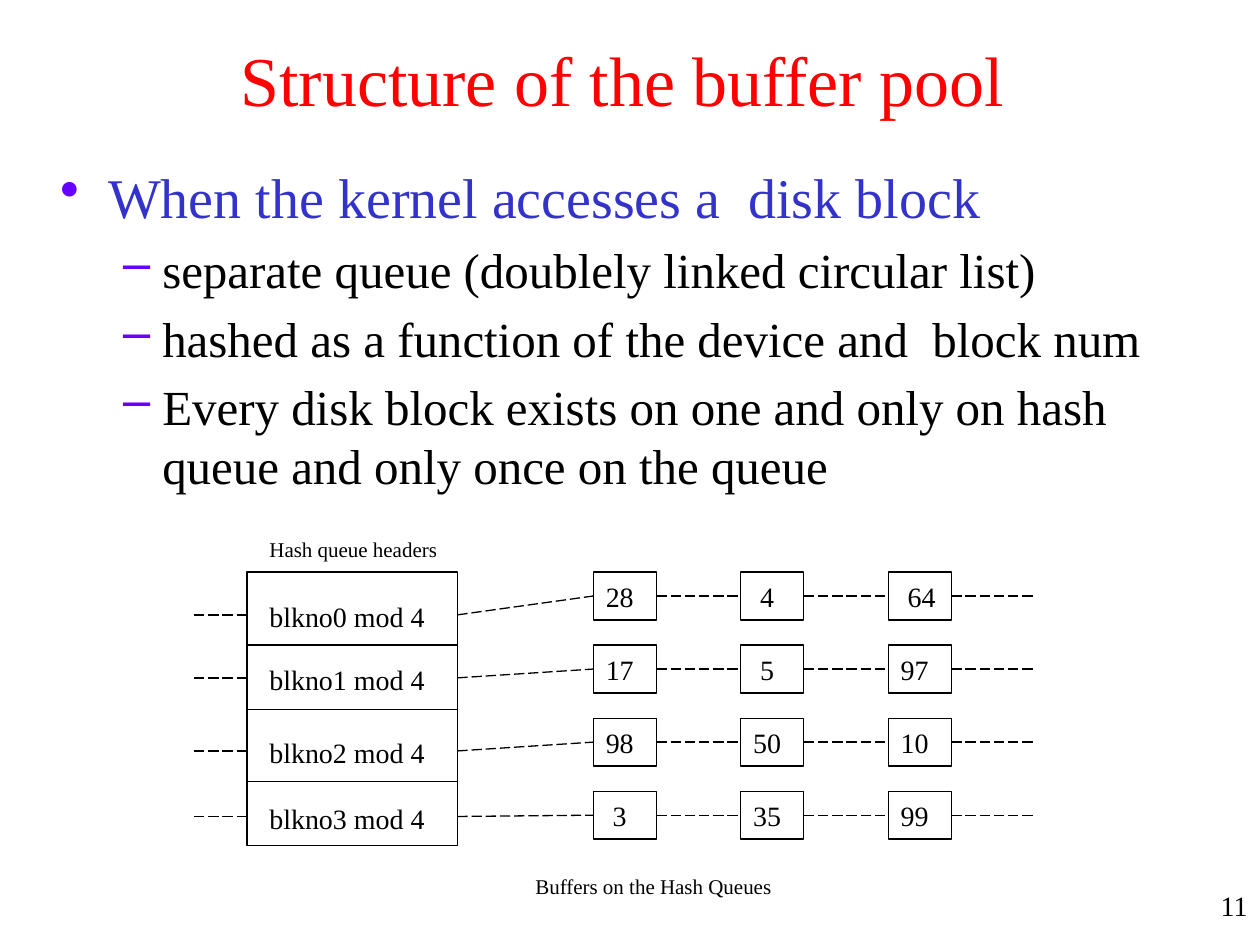
from lxml import etree
from pptx import Presentation
from pptx.dml.color import RGBColor
from pptx.enum.dml import MSO_LINE
from pptx.enum.shapes import MSO_CONNECTOR, MSO_SHAPE
from pptx.enum.text import MSO_ANCHOR, PP_ALIGN
from pptx.oxml.ns import qn
from pptx.util import Inches, Pt

STRAIGHT = MSO_CONNECTOR.STRAIGHT
RECTANGLE = MSO_SHAPE.RECTANGLE
LONG_DASH = MSO_LINE.LONG_DASH
MIDDLE, TOP = MSO_ANCHOR.MIDDLE, MSO_ANCHOR.TOP
LEFT, CENTER, RIGHT = PP_ALIGN.LEFT, PP_ALIGN.CENTER, PP_ALIGN.RIGHT
LEFT_SIDE, RIGHT_SIDE = 1, 3

FONT = "Times New Roman"
BLACK = RGBColor(0x00, 0x00, 0x00)
RED = RGBColor(0xFF, 0x00, 0x00)
BLUE = RGBColor(0x33, 0x33, 0xCC)
VIOLET = RGBColor(0x66, 0x00, 0xFF)
LINE_WIDTH = Pt(0.75)

BULLETS = [
    (0, "When the kernel accesses a  disk block"),
    (1, "separate queue (doublely linked circular list)"),
    (1, "hashed as a function of the device and  block num"),
    (1, "Every disk block exists on one and only on hash queue and only once on the queue"),
]
# Per level: marker, size, colour, text indent, hanging indent
LEVELS = [
    ("•", 32, BLUE, Inches(0.38), Inches(-0.38)),
    ("–", 28, BLACK, Inches(0.81), Inches(-0.31)),
]
QUEUES = [
    ("blkno0 mod 4", ["28", " 4", " 64"]),
    ("blkno1 mod 4", ["17", " 5", "97"]),
    ("blkno2 mod 4", ["98", "50", "10"]),
    ("blkno3 mod 4", [" 3", "35", "99"]),
]


def write(paragraph, text, size=16, color=BLACK, align=LEFT):
    paragraph.text = text
    paragraph.alignment = align
    paragraph.font.name = FONT
    paragraph.font.size = Pt(size)
    paragraph.font.color.rgb = color


def add_text(slide, text, left, top, width, height, anchor=TOP, wrap=True, **text_format):
    frame = slide.shapes.add_textbox(left, top, width, height).text_frame
    frame.word_wrap = wrap
    frame.vertical_anchor = anchor
    write(frame.paragraphs[0], text, **text_format)


def add_box(slide, left, top, width, height):
    box = slide.shapes.add_shape(RECTANGLE, left, top, width, height)
    box.shadow.inherit = False
    box.fill.background()
    box.line.color.rgb = BLACK
    box.line.width = LINE_WIDTH
    return box


def add_line(slide, start_x, start_y, end_x, end_y, dash=LONG_DASH):
    line = slide.shapes.add_connector(STRAIGHT, start_x, start_y, end_x, end_y)
    line.line.color.rgb = BLACK
    line.line.width = LINE_WIDTH
    line.line.dash_style = dash
    etree.SubElement(line.element.spPr, qn("a:effectLst"))
    return line


def set_bullet(paragraph, marker, indent, hanging):
    properties = paragraph._p.get_or_add_pPr()
    properties.set("marL", str(indent))
    properties.set("indent", str(hanging))
    color = etree.SubElement(properties, qn("a:buClr"))
    etree.SubElement(color, qn("a:srgbClr"), val=str(VIOLET))
    etree.SubElement(properties, qn("a:buChar"), char=marker)


def add_bullet_list(slide, left, top, width, height):
    frame = slide.shapes.add_textbox(left, top, width, height).text_frame
    frame.word_wrap = True
    frame.margin_top = Inches(0.1)
    for index, (level, text) in enumerate(BULLETS):
        marker, size, color, indent, hanging = LEVELS[level]
        paragraph = frame.add_paragraph() if index else frame.paragraphs[0]
        set_bullet(paragraph, marker, indent, hanging)
        paragraph.level = level
        if index:
            paragraph.space_before = Pt(0.2 * size)
        write(paragraph, text, size=size, color=color)


def add_headers(slide, left, top, width, height, queue_heights):
    add_box(slide, left, top, width, height)
    for offset in (0.58, 1.09, 1.66):
        divider_y = top + Inches(offset)
        add_line(slide, left, divider_y, left + width, divider_y, dash=None)
    for (label, _), queue_y in zip(QUEUES, queue_heights):
        add_line(slide, left - Inches(0.42), queue_y, left, queue_y)
        add_text(slide, label, left + Inches(0.08), queue_y - Inches(0.17),
                 Inches(1.47), Inches(0.37), wrap=False)


def add_buffer(slide, text, left, top):
    buffer = add_box(slide, left, top, Inches(0.5), Inches(0.38))
    buffer.text_frame.vertical_anchor = MIDDLE
    write(buffer.text_frame.paragraphs[0], text)
    return buffer


def add_queue(slide, numbers, left, top, start_x, start_y):
    """Chain buffers from the header at the start point, with a loose end."""
    for index, number in enumerate(numbers):
        buffer = add_buffer(slide, number, left + index * Inches(1.17), top)
        link = add_line(slide, start_x, start_y, buffer.left, top)
        if index:
            link.begin_connect(previous, RIGHT_SIDE)
        link.end_connect(buffer, LEFT_SIDE)
        previous = buffer
    end_x = previous.left + previous.width
    middle_y = top + previous.height // 2
    tail = add_line(slide, end_x, middle_y, end_x + Inches(0.67), middle_y)
    tail.begin_connect(previous, RIGHT_SIDE)


def add_hash_queues(slide, left, top):
    header_left, header_top = left + Inches(0.42), top + Inches(0.33)
    header_width = Inches(1.67)
    queue_heights = [header_top + Inches(offset) for offset in (0.34, 0.84, 1.42, 1.94)]
    add_headers(slide, header_left, header_top, header_width, Inches(2.17), queue_heights)
    for row, ((_, numbers), queue_y) in enumerate(zip(QUEUES, queue_heights)):
        add_queue(slide, numbers, left + Inches(3.17), header_top + row * Inches(0.58),
                  header_left + header_width, queue_y)
    add_text(slide, "Hash queue headers", left + Inches(0.5), top,
             Inches(1.53), Inches(0.3), wrap=False, size=12)
    add_text(slide, "Buffers on the Hash Queues", left + Inches(2.61), top + Inches(2.67),
             Inches(2.09), Inches(0.31), wrap=False, size=12)


def main():
    presentation = Presentation()
    presentation.slide_width, presentation.slide_height = Inches(10), Inches(7.5)
    slide = presentation.slides.add_slide(presentation.slide_layouts[6])
    add_text(slide, "Structure of the buffer pool", Inches(0.69), 0, Inches(8.5), Inches(1.25),
             anchor=MIDDLE, size=40, color=RED, align=CENTER)
    add_bullet_list(slide, Inches(0.38), Inches(1.19), Inches(9.27), Inches(3))
    add_hash_queues(slide, Inches(1.54), Inches(4.21))
    add_text(slide, "11", Inches(9.53), Inches(7), Inches(0.47), Inches(0.5), align=RIGHT)
    presentation.save("out.pptx")


if __name__ == "__main__":
    main()
